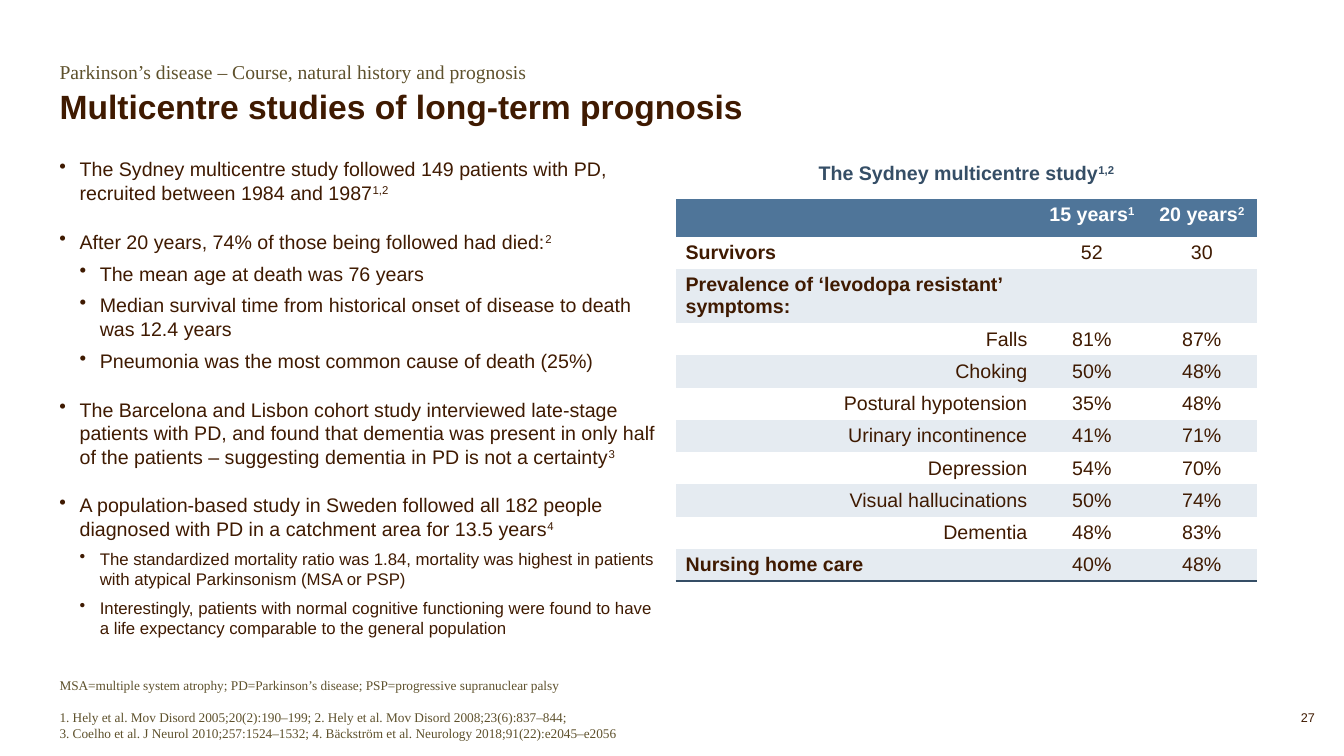
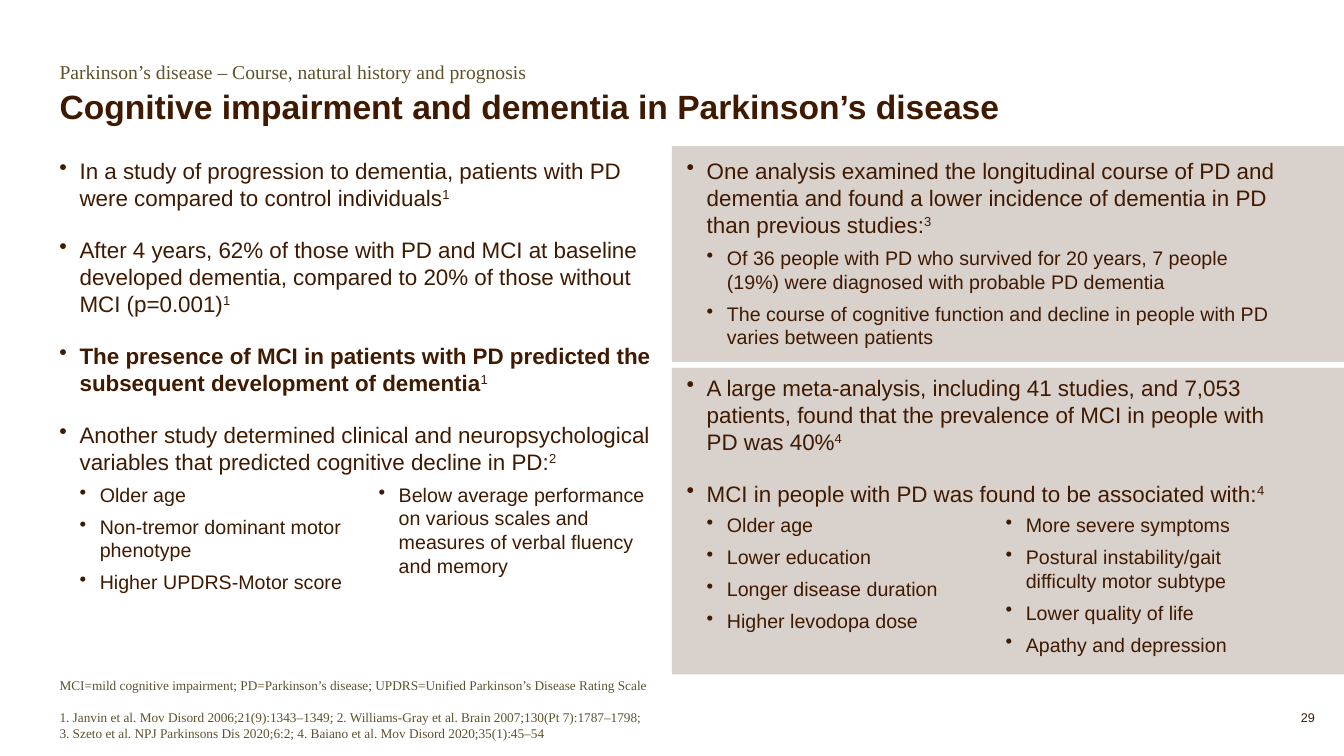
from dataclasses import dataclass

import pptx
import pptx.dml.color
import pptx.enum.shapes
import pptx.enum.text
import pptx.oxml
import pptx.oxml.ns
import pptx.util

Inches = pptx.util.Inches
Pt = pptx.util.Pt
RGBColor = pptx.dml.color.RGBColor
Align = pptx.enum.text.PP_ALIGN
Anchor = pptx.enum.text.MSO_ANCHOR

BROWN = RGBColor(0x3F, 0x1A, 0x01)
OLIVE = RGBColor(0x5E, 0x51, 0x2C)
SAND = RGBColor(0xD9, 0xD1, 0xCC)
BLUE = RGBColor(0x4F, 0x75, 0x99)
NAVY = RGBColor(0x35, 0x4E, 0x66)
PALE_BLUE = RGBColor(0xE5, 0xEB, 0xF1)
WHITE = RGBColor(0xFF, 0xFF, 0xFF)

SANS, SERIF = "Arial", "Times New Roman"
WIDTH, HEIGHT = 13.33, 7.5
HALF = WIDTH / 2
MARGIN = 0.59
HEADING_WIDTH = 10.08
COLUMN_WIDTH, COLUMN_HEIGHT = 5.93, 4.83
RIGHT_COLUMN = 6.81
BODY_TOP = 1.56
INDENT = 0.2
NO_TABLE_STYLE = "{2D5ABB26-0587-4C30-8999-92F81FD0307C}"
CATEGORY = "Parkinson’s disease – Course, natural history and prognosis"


@dataclass(frozen=True)
class Area:
    left: float
    top: float
    width: float
    height: float

    def lengths(self) -> tuple:
        return tuple(Inches(n) for n in (self.left, self.top, self.width, self.height))


@dataclass(frozen=True)
class Style:
    size: float
    color: RGBColor = BROWN
    font: str = SANS
    bold: bool = False


@dataclass(frozen=True)
class Bullet:
    text: str
    reference: str = ""
    level: int = 0
    size: float = 14
    bold: bool = False


@dataclass(frozen=True)
class Row:
    label: str
    values: tuple = ("", "")
    heading: bool = False
    height: float = 0.32


NOTE = Style(9.5, OLIVE, SERIF)
TITLE = Style(24, bold=True)
CATEGORY_STYLE = Style(14, OLIVE, SERIF)
CAPTION = Style(14, NAVY, bold=True)


def write(para, text: str, style: Style, reference: str = "",
          align=Align.LEFT, spacing: float = 1.0) -> None:
    """Fill a paragraph, with an optional superscript reference at its end."""
    para.text = text
    para.alignment = align
    para.line_spacing = spacing
    if reference:
        span = para.add_run()
        span.text = reference
        span._r.get_or_add_rPr().set("baseline", "30000")
    for span in para.runs:
        span.font.size = Pt(style.size)
        span.font.name = style.font
        span.font.color.rgb = style.color
        span.font.bold = style.bold


def prepare(frame, anchor=Anchor.TOP) -> None:
    frame.word_wrap = True
    frame.auto_size = pptx.enum.text.MSO_AUTO_SIZE.NONE
    frame.vertical_anchor = anchor
    frame.margin_left = frame.margin_right = frame.margin_top = frame.margin_bottom = 0


def add_text(page, area: Area, anchor=Anchor.TOP):
    frame = page.shapes.add_textbox(*area.lengths()).text_frame
    prepare(frame, anchor)
    return frame


def add_bullets(page, area: Area, bullets: list, columns: int = 1) -> None:
    frame = add_text(page, area)
    if columns > 1:
        frame._txBody.bodyPr.set("numCol", str(columns))
    for index, bullet in enumerate(bullets):
        para = frame.add_paragraph() if index else frame.paragraphs[0]
        write(para, bullet.text, Style(bullet.size, bold=bullet.bold), bullet.reference)
        if bullet.reference:
            para.runs[-1].font.bold = False
        para.level = bullet.level
        if index:
            para.space_before = Pt(6 if bullet.level else 18)
        properties = para._p.get_or_add_pPr()
        properties.set("marL", str(Inches(INDENT * (bullet.level + 1))))
        properties.set("indent", str(-Inches(INDENT)))
        mark = pptx.oxml.parse_xml(
            f'<a:buChar {pptx.oxml.ns.nsdecls("a")} char="•"/>')
        properties.append(mark)


def add_page(deck, title: str, abbreviations: str, references: str, number: int):
    """Add a slide with its heading, notes and page number."""
    page = deck.slides.add_slide(deck.slide_layouts[5])
    box = page.shapes.title
    box.left, box.top, box.width, box.height = Area(
        MARGIN, 0.9, HEADING_WIDTH, 0.36).lengths()
    prepare(box.text_frame, Anchor.BOTTOM)
    write(box.text_frame.paragraphs[0], title, TITLE, spacing=0.9)

    category = add_text(page, Area(MARGIN, 0.59, HEADING_WIDTH, 0.29))
    write(category.paragraphs[0], CATEGORY, CATEGORY_STYLE)

    notes = add_text(page, Area(MARGIN, 6.67, HEADING_WIDTH, 0.68), Anchor.BOTTOM)
    write(notes.paragraphs[0], abbreviations, NOTE)
    sources = notes.add_paragraph()
    write(sources, references, NOTE)
    sources.space_before = Pt(11.5)

    counter = add_text(page, Area(12.39, 7.04, 0.65, 0.17))
    write(counter.paragraphs[0], str(number), Style(9), align=Align.RIGHT)
    return page


def add_band(page, top: float, height: float) -> None:
    band = page.shapes.add_shape(pptx.enum.shapes.MSO_SHAPE.RECTANGLE,
                                 *Area(HALF, top, HALF, height).lengths())
    band.shadow.inherit = False
    band.fill.solid()
    band.fill.fore_color.rgb = SAND
    band.line.fill.background()


def fill_cell(cell, text: str, style: Style, fill: RGBColor, align, reference: str = "") -> None:
    cell.fill.solid()
    cell.fill.fore_color.rgb = fill
    para = cell.text_frame.paragraphs[0]
    if text:
        write(para, text, style, reference, align)
    else:
        para.font.size = Pt(style.size)


def underline_cell(cell) -> None:
    border = pptx.oxml.parse_xml(
        f'<a:lnB {pptx.oxml.ns.nsdecls("a")} w="{Pt(1.5)}"><a:solidFill>'
        f'<a:srgbClr val="{NAVY}"/></a:solidFill></a:lnB>')
    cell._tc.get_or_add_tcPr().insert(0, border)


def add_results(page, area: Area, widths: tuple, header: tuple, rows: list) -> None:
    table = page.shapes.add_table(len(rows) + 1, len(widths), *area.lengths()).table
    table._tbl.tblPr.find(pptx.oxml.ns.qn("a:tableStyleId")).text = NO_TABLE_STYLE
    for column, width in zip(table.columns, widths):
        column.width = Inches(width)
    table.rows[0].height = Inches(0.38)
    for column, (text, reference) in enumerate(header):
        fill_cell(table.cell(0, column), text, Style(14, WHITE, bold=True), BLUE,
                  Align.CENTER, reference)
    for index, row in enumerate(rows, 1):
        table.rows[index].height = Inches(row.height)
        fill = WHITE if index % 2 else PALE_BLUE
        fill_cell(table.cell(index, 0), row.label, Style(14, bold=row.heading), fill,
                  Align.LEFT if row.heading else Align.RIGHT)
        for column, value in enumerate(row.values, 1):
            fill_cell(table.cell(index, column), value, Style(14), fill, Align.CENTER)
    for column in range(len(widths)):
        underline_cell(table.cell(len(rows), column))


def build_prognosis(deck) -> None:
    page = add_page(
        deck, "Multicentre studies of long-term prognosis",
        "MSA=multiple system atrophy; PD=Parkinson’s disease; PSP=progressive supranuclear palsy",
        "1. Hely et al. Mov Disord 2005;20(2):190–199; 2. Hely et al. Mov Disord 2008;23(6):837–844;\v"
        "3. Coelho et al. J Neurol 2010;257:1524–1532; 4. Bäckström et al. Neurology 2018;91(22):e2045–e2056",
        27)
    add_bullets(page, Area(MARGIN, BODY_TOP, COLUMN_WIDTH, COLUMN_HEIGHT), [
        Bullet("The Sydney multicentre study followed 149 patients with PD, "
               "recruited between 1984 and 1987", "1,2"),
        Bullet("After 20 years, 74% of those being followed had died:", "2"),
        Bullet("The mean age at death was 76 years", level=1),
        Bullet("Median survival time from historical onset of disease to death "
               "was 12.4 years", level=1),
        Bullet("Pneumonia was the most common cause of death (25%)", level=1),
        Bullet("The Barcelona and Lisbon cohort study interviewed late-stage patients with PD, "
               "and found that dementia was present in only half of the patients – "
               "suggesting dementia in PD is not a certainty", "3"),
        Bullet("A population-based study in Sweden followed all 182 people diagnosed "
               "with PD in a catchment area for 13.5 years", "4"),
        Bullet("The standardized mortality ratio was 1.84, mortality was highest in patients "
               "with atypical Parkinsonism (MSA or PSP)", level=1, size=12),
        Bullet("Interestingly, patients with normal cognitive functioning were found to have "
               "a life expectancy comparable to the general population", level=1, size=12),
    ])
    add_results(
        page, Area(6.7, 1.97, 5.77, 3.78), (3.59, 1.08, 1.1),
        (("", ""), ("15 years", "1"), ("20 years", "2")), [
            Row("Survivors", ("52", "30"), heading=True),
            Row("Prevalence of ‘levodopa resistant’ symptoms:", heading=True, height=0.53),
            Row("Falls", ("81%", "87%")),
            Row("Choking", ("50%", "48%")),
            Row("Postural hypotension", ("35%", "48%")),
            Row("Urinary incontinence", ("41%", "71%")),
            Row("Depression", ("54%", "70%")),
            Row("Visual hallucinations", ("50%", "74%")),
            Row("Dementia", ("48%", "83%")),
            Row("Nursing home care", ("40%", "48%"), heading=True),
        ])
    caption = add_text(page, Area(6.7, 1.6, 5.77, 0.24))
    write(caption.paragraphs[0], "The Sydney multicentre study", CAPTION, "1,2", Align.CENTER)


def build_cognition(deck) -> None:
    page = add_page(
        deck, "Cognitive impairment and dementia in Parkinson’s disease",
        "MCI=mild cognitive impairment; PD=Parkinson’s disease; "
        "UPDRS=Unified Parkinson’s Disease Rating Scale",
        "1. Janvin et al. Mov Disord 2006;21(9):1343–1349; "
        "2. Williams-Gray et al. Brain 2007;130(Pt 7):1787–1798;\v"
        "3. Szeto et al. NPJ Parkinsons Dis 2020;6:2; 4. Baiano et al. Mov Disord 2020;35(1):45–54",
        29)
    add_band(page, 1.45, 2.14)
    add_band(page, 3.65, 3.04)
    add_bullets(page, Area(MARGIN, BODY_TOP, COLUMN_WIDTH, COLUMN_HEIGHT), [
        Bullet("In a study of progression to dementia, patients with PD were compared "
               "to control individuals", "1", size=16),
        Bullet("After 4 years, 62% of those with PD and MCI at baseline developed dementia, "
               "compared to 20% of those without MCI (p=0.001)", "1", size=16),
        Bullet("The presence of MCI in patients with PD predicted the subsequent "
               "development of dementia", "1", size=16, bold=True),
        Bullet("Another study determined clinical and neuropsychological variables "
               "that predicted cognitive decline in PD:", "2", size=16),
    ])
    add_bullets(page, Area(RIGHT_COLUMN, BODY_TOP, COLUMN_WIDTH, COLUMN_HEIGHT), [
        Bullet("One analysis examined the longitudinal course of PD and dementia and found "
               "a lower incidence of dementia in PD than previous studies:", "3", size=16),
        Bullet("Of 36 people with PD who survived for 20 years, 7 people (19%) "
               "were diagnosed with probable PD dementia", level=1),
        Bullet("The course of cognitive function and decline in people with PD "
               "varies between patients", level=1),
        Bullet("A large meta-analysis, including 41 studies, and 7,053 patients, "
               "found that the prevalence of MCI in people with PD was 40%", "4", size=16),
        Bullet("MCI in people with PD was found to be associated with:", "4", size=16),
    ])
    predictors = ("Older age", "Non-tremor dominant motor phenotype",
                  "Higher UPDRS-Motor score",
                  "Below average performance on various scales and measures of "
                  "verbal fluency and memory")
    associations = ("Older age", "Lower education", "Longer disease duration",
                    "Higher levodopa dose", "More severe symptoms",
                    "Postural instability/gait difficulty motor subtype",
                    "Lower quality of life", "Apathy and depression")
    for left, top, factors in ((MARGIN, 4.79, predictors),
                               (RIGHT_COLUMN, 5.09, associations)):
        add_bullets(page, Area(left, top, COLUMN_WIDTH, 1.26),
                    [Bullet(factor, level=1) for factor in factors], columns=2)


def main() -> None:
    deck = pptx.Presentation()
    deck.slide_width, deck.slide_height = Inches(WIDTH), Inches(HEIGHT)
    build_prognosis(deck)
    build_cognition(deck)
    deck.save("out.pptx")


if __name__ == "__main__":
    main()
